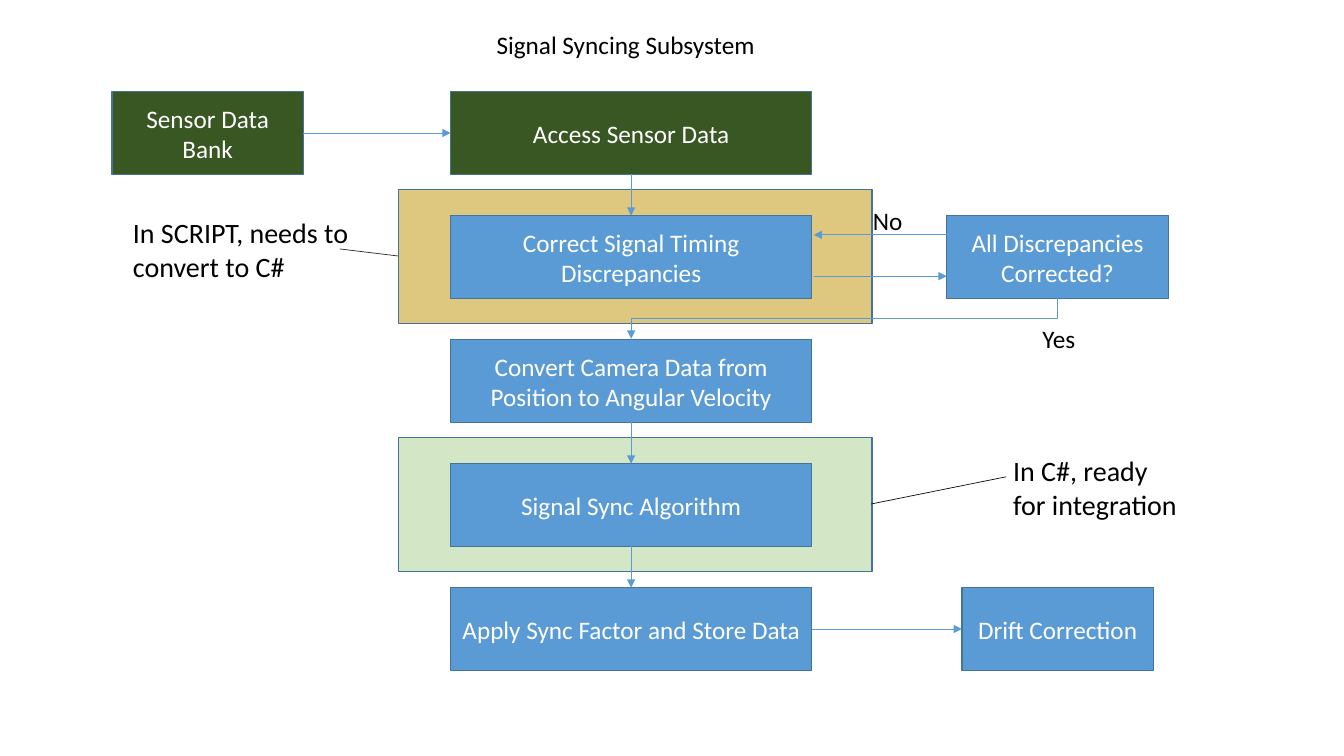
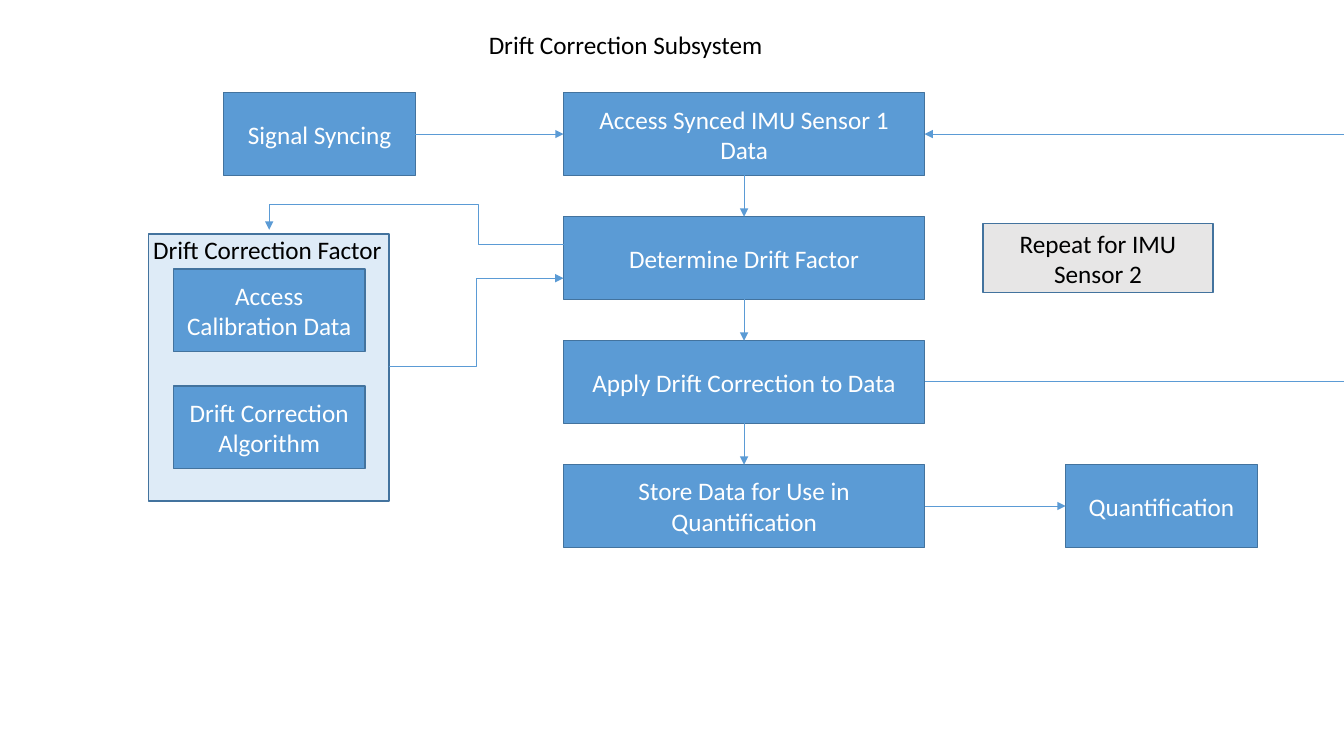
from pptx import Presentation
from pptx.dml.color import RGBColor
from pptx.enum.shapes import MSO_CONNECTOR, MSO_SHAPE
from pptx.enum.text import MSO_ANCHOR, MSO_AUTO_SIZE, PP_ALIGN
from pptx.oxml.ns import qn
from pptx.util import Inches, Pt
from lxml.etree import SubElement

BLUE = RGBColor(0x5B, 0x9B, 0xD5)
EDGE = RGBColor(0x43, 0x73, 0x9E)
GREEN = RGBColor(0x38, 0x57, 0x23)
GOLD = RGBColor(0xBF, 0x90, 0x00)
LIGHT_GREEN = RGBColor(0xA9, 0xD1, 0x8E)
PALE_BLUE = RGBColor(0xDE, 0xEB, 0xF7)
GREY = RGBColor(0xE7, 0xE6, 0xE6)
WHITE = RGBColor(0xFF, 0xFF, 0xFF)
BLACK = RGBColor(0, 0, 0)
NEAR_BLACK = RGBColor(0x0D, 0x0D, 0x0D)
SLATE = RGBColor(0x22, 0x2A, 0x35)

FONT = "Calibri"
SLIDE_W, SLIDE_H = 13.33, 7.5
TITLE_AREA = (4.47, 0.24, 3.47, 0.4)
STEP_W, SIDE_W, BOX_H = 3.58, 1.9, 0.82
PITCH = 1.23
TOP, RIGHT, BOTTOM, LEFT = 0, 3, 2, 1

# steps: text, fill, running down the main column
# sides: text, left, row, width, fill
# boxes: text, area, fill, text colour
# panels: area, fill, opacity in percent
# flows: source text, site, target text, site
# lines: start, end, colour, arrow
# elbows: start, end, rotation, preset, bend shares
# labels: text, area, size, wrap
SYNCING = {
    "title": "Signal Syncing Subsystem",
    "origin": (4.47, 0.91),
    "steps": [
        ("Access Sensor Data", GREEN),
        ("Correct Signal Timing Discrepancies", BLUE),
        ("Convert Camera Data from Position to Angular Velocity", BLUE),
        ("Signal Sync Algorithm", BLUE),
        ("Apply Sync Factor and Store Data", BLUE),
    ],
    "sides": [
        ("Sensor Data Bank", 1.11, 0, SIDE_W, GREEN),
        ("All Discrepancies Corrected?", 9.39, 1, 2.2, BLUE),
        ("Drift Correction", 9.54, 4, SIDE_W, BLUE),
    ],
    "boxes": [],
    "panels": [
        ((3.95, 1.88, 4.7, 1.33), GOLD, 50),
        ((3.95, 4.34, 4.7, 1.33), LIGHT_GREEN, 50),
    ],
    "flows": [
        ("Sensor Data Bank", RIGHT, "Access Sensor Data", LEFT),
        ("Apply Sync Factor and Store Data", RIGHT, "Drift Correction", LEFT),
    ],
    "unlinked_steps": [1],
    "lines": [
        ((8.07, 2.74), (9.39, 2.74), BLUE, True),
        ((9.39, 2.33), (8.07, 2.33), BLUE, True),
        ((8.64, 5), (9.98, 4.73), NEAR_BLACK, False),
        ((3.95, 2.54), (3.37, 2.47), SLATE, False),
    ],
    "elbows": [((10.49, 2.95), (6.26, 3.36), 90, "bentConnector3", [0.5])],
    "labels": [
        ("No", (8.56, 1.99, 0.5, 0.4), 18, False),
        ("Yes", (10.24, 3.16, 0.53, 0.4), 18, False),
        ("In C#, ready for integration", (9.95, 4.45, 1.83, 0.77), 20, True),
        ("In SCRIPT, needs to convert to C#", (1.22, 2.09, 2.37, 0.77), 20, True),
    ],
}
DRIFT = {
    "title": "Drift Correction Subsystem",
    "origin": (5.59, 0.92),
    "steps": [
        ("Access Synced IMU Sensor 1 Data", BLUE),
        ("Determine Drift Factor", BLUE),
        ("Apply Drift Correction to Data", BLUE),
        ("Store Data for Use in Quantification", BLUE),
    ],
    "sides": [
        ("Signal Syncing", 2.22, 0, SIDE_W, BLUE),
        ("Quantification", 10.57, 3, SIDE_W, BLUE),
    ],
    "boxes": [
        ("Repeat for IMU Sensor 2", (9.75, 2.22, 2.28, 0.68), GREY, BLACK),
        ("Access Calibration Data", (1.72, 2.67, SIDE_W, BOX_H), BLUE, WHITE),
        ("Drift Correction Algorithm", (1.72, 3.83, SIDE_W, BOX_H), BLUE, WHITE),
    ],
    "panels": [((1.47, 2.32, 2.39, 2.65), PALE_BLUE, 100)],
    "flows": [
        ("Signal Syncing", RIGHT, "Access Synced IMU Sensor 1 Data", LEFT),
        ("Store Data for Use in Quantification", RIGHT, "Quantification", LEFT),
    ],
    "unlinked_steps": [],
    "lines": [
        ((9.17, 3.78), (SLIDE_W, 3.78), BLUE, False),
        ((SLIDE_W, 1.33), (9.17, 1.33), BLUE, True),
    ],
    "elbows": [
        ((5.59, 2.42), (2.67, 2.28), 180, "bentConnector4", [0.29, 2.83]),
        ((3.86, 3.64), (5.59, 2.76), 0, "bentConnector3", [0.5]),
    ],
    "labels": [("Drift Correction Factor", (1.42, 2.28, 2.5, 0.4), 18, False)],
}


def write(frame, text, size, color, align):
    """Put one formatted run into a text frame."""
    paragraph = frame.paragraphs[0]
    paragraph.alignment = align
    run = paragraph.add_run()
    run.text = text
    run.font.size = Pt(size)
    run.font.name = FONT
    run.font.color.rgb = color


def add_title(slide, text):
    """Move and format the title placeholder."""
    title = slide.shapes.title
    title.left, title.top, title.width, title.height = map(Inches, TITLE_AREA)
    frame = title.text_frame
    frame.auto_size = MSO_AUTO_SIZE.NONE
    frame.vertical_anchor = MSO_ANCHOR.TOP
    write(frame, text, 18, BLACK, PP_ALIGN.CENTER)


def add_box(slide, area, fill, text="", color=WHITE, opacity=100):
    """Draw an outlined rectangle, with text if there is any."""
    box = slide.shapes.add_shape(MSO_SHAPE.RECTANGLE, *map(Inches, area))
    box.shadow.inherit = False
    box.fill.solid()
    box.fill.fore_color.rgb = fill
    box.line.color.rgb = EDGE
    box.line.width = Pt(1)
    if opacity < 100:
        tint = box._element.spPr.find(qn("a:solidFill"))[0]
        SubElement(tint, qn("a:alpha")).set("val", str(opacity * 1000))
    if text:
        box.text_frame.word_wrap = True
        box.text_frame.vertical_anchor = MSO_ANCHOR.MIDDLE
        write(box.text_frame, text, 18, color, PP_ALIGN.CENTER)
    return box


def add_label(slide, text, area, size, wrap):
    """Write a note beside the flow."""
    frame = slide.shapes.add_textbox(*map(Inches, area)).text_frame
    frame.word_wrap = wrap
    frame.auto_size = MSO_AUTO_SIZE.SHAPE_TO_FIT_TEXT
    write(frame, text, size, BLACK, PP_ALIGN.LEFT)


def add_line(slide, start, end, color=BLUE, arrow=True, kind=MSO_CONNECTOR.STRAIGHT):
    """Draw a thin connector, with an arrowhead at its end if wanted."""
    line = slide.shapes.add_connector(kind, *map(Inches, (*start, *end)))
    line.line.color.rgb = color
    line.line.width = Pt(0.5)
    properties = line._element.spPr
    if arrow:
        SubElement(properties.find(qn("a:ln")), qn("a:tailEnd")).set("type", "triangle")
    SubElement(properties, qn("a:effectLst"))
    return line


def add_flow(slide, source, source_site, target, target_site):
    """Join two boxes with a glued arrow."""
    arrow = add_line(slide, (0, 0), (1, 1))
    arrow.begin_connect(source, source_site)
    arrow.end_connect(target, target_site)


def add_elbow(slide, start, end, rotation, preset, shares):
    """Draw a bent arrow; a turned one is laid out in its unturned frame."""
    if rotation:
        middle = [(a + b) / 2 for a, b in zip(start, end)]
        half = [abs(a - b) / 2 for a, b in zip(start, end)]
        if rotation == 90:
            half.reverse()
        start = [m - h for m, h in zip(middle, half)]
        end = [m + h for m, h in zip(middle, half)]
    elbow = add_line(slide, start, end, kind=MSO_CONNECTOR.ELBOW)
    properties = elbow._element.spPr
    if rotation:
        properties.find(qn("a:xfrm")).set("rot", str(rotation * 60000))
    geometry = properties.find(qn("a:prstGeom"))
    geometry.set("prst", preset)
    bends = geometry.find(qn("a:avLst"))
    if bends is None:
        bends = SubElement(geometry, qn("a:avLst"))
    for number, share in enumerate(shares, 1):
        guide = SubElement(bends, qn("a:gd"))
        guide.set("name", f"adj{number}")
        guide.set("fmla", f"val {round(share * 100000)}")


def build(deck, chart):
    """Build one flow chart slide."""
    slide = deck.slides.add_slide(deck.slide_layouts[5])
    add_title(slide, chart["title"])
    for area, fill, opacity in chart["panels"]:
        add_box(slide, area, fill, opacity=opacity)

    left, top = chart["origin"]
    boxes = {}
    for row, (text, fill) in enumerate(chart["steps"]):
        area = (left, top + row * PITCH, STEP_W, BOX_H)
        boxes[text] = add_box(slide, area, fill, text)
    steps = list(boxes.values())
    for text, side_left, row, width, fill in chart["sides"]:
        area = (side_left, top + row * PITCH, width, BOX_H)
        boxes[text] = add_box(slide, area, fill, text)
    for text, area, fill, color in chart["boxes"]:
        add_box(slide, area, fill, text, color)

    for row, (step, following) in enumerate(zip(steps, steps[1:])):
        if row not in chart["unlinked_steps"]:
            add_flow(slide, step, BOTTOM, following, TOP)
    for source, source_site, target, target_site in chart["flows"]:
        add_flow(slide, boxes[source], source_site, boxes[target], target_site)
    for line in chart["lines"]:
        add_line(slide, *line)
    for elbow in chart["elbows"]:
        add_elbow(slide, *elbow)
    for label in chart["labels"]:
        add_label(slide, *label)


deck = Presentation()
deck.slide_width, deck.slide_height = Inches(SLIDE_W), Inches(SLIDE_H)
for chart in (SYNCING, DRIFT):
    build(deck, chart)
deck.save("out.pptx")
